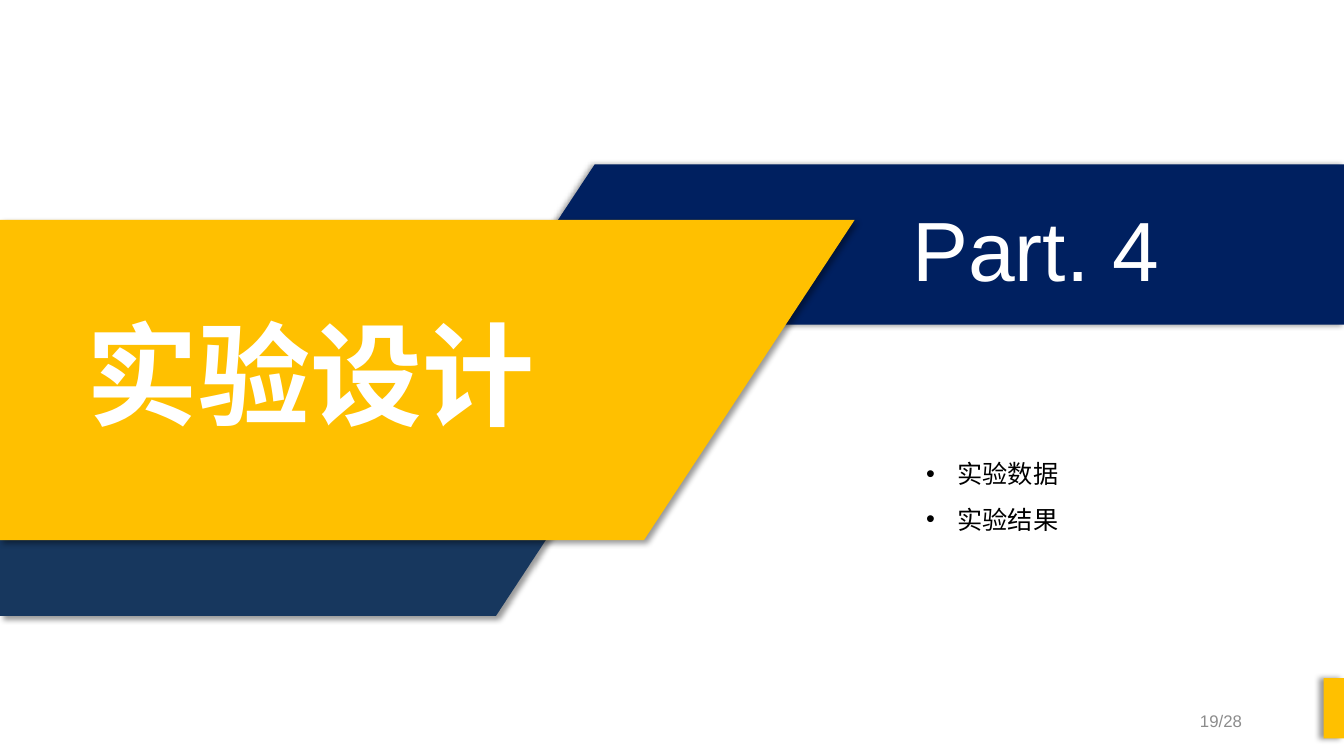
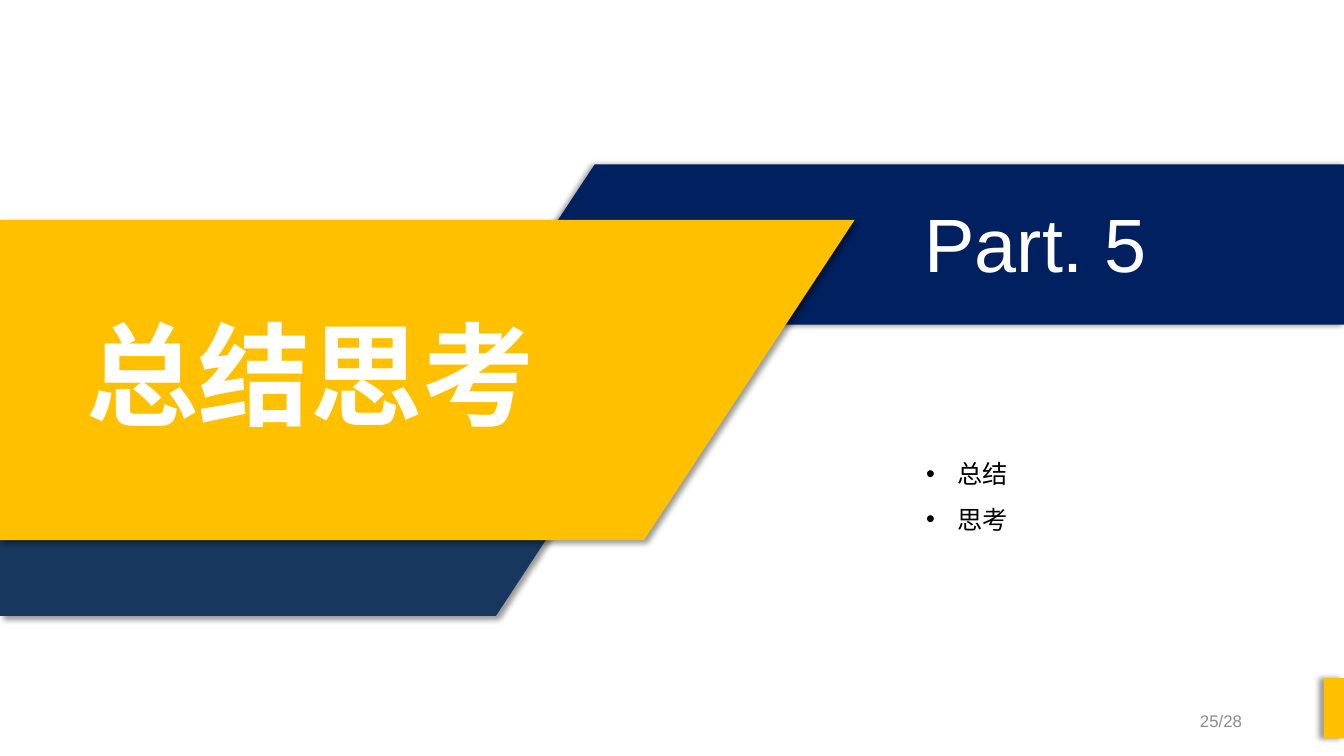
from lxml.etree import SubElement as Sub
from pptx import Presentation
from pptx.dml.color import RGBColor as RGB
from pptx.enum.shapes import MSO_SHAPE as Kind
from pptx.enum.text import MSO_ANCHOR as Anchor, MSO_AUTO_SIZE as Fit, PP_ALIGN as Align
from pptx.oxml.ns import qn
from pptx.util import Cm, Pt

WIDE, HIGH = 33.87, 19.05
HUES = {"gold": "FFC000", "navy": "002060", "slate": "17375E",
        "white": "FFFFFF", "black": "000000", "gray": "8C8C8C"}
LATIN, HEAD, HAN = "Arial", "League Spartan", "Noto Sans CJK SC"

# Bands from back to front: colour, shadow angle, corners in cm
BANDS = [
    ("slate", 45, [(0, 12.98), (14.17, 12.98), (12.5, 15.52), (0, 15.52)]),
    ("navy", 180, [(14.99, 4.14), (WIDE, 4.14), (WIDE, 8.18), (12.32, 8.18)]),
    ("gold", 45, [(0, 5.54), (21.54, 5.54), (16.23, 13.61), (0, 13.61)]),
]

# Part label, its size, title, points, width of the list, page
PARTS = [
    ("Part. 4", 60, "实验设计", ["实验数据", "实验结果"], 5.26, "19/28"),
    ("Part. 5", 54, "总结思考", ["总结", "思考"], 7.59, "25/28"),
]


def paint(shape, hue, angle):
    """Give a shape a plain fill and a soft shadow."""
    shape.fill.solid()
    shape.fill.fore_color.rgb = RGB.from_string(HUES[hue])
    shape.line.fill.background()
    shape.shadow.inherit = False
    effect = shape._element.spPr.find(qn("a:effectLst"))
    shade = Sub(effect, qn("a:outerShdw"), blurRad=str(Pt(4)), dist=str(Pt(3)),
                dir=str(angle * 60000), algn="ctr", rotWithShape="0")
    color = Sub(shade, qn("a:srgbClr"), val=HUES["black"])
    Sub(color, qn("a:alpha"), val="40000")


def band(slide, hue, angle, spots):
    first, *rest = [(Cm(x), Cm(y)) for x, y in spots]
    form = slide.shapes.build_freeform(*first)
    form.add_line_segments(rest, close=True)
    paint(form.convert_to_shape(), hue, angle)


def bullet(para):
    para.line_spacing = 1.5
    props = para._p.get_or_add_pPr()
    props.set("marL", str(Cm(0.79)))
    props.set("indent", str(-Cm(0.79)))
    Sub(props, qn("a:buFont"), typeface=LATIN)
    Sub(props, qn("a:buChar"), char="•")


def text(slide, box, lines, size, font, hue, bold=False, align=Align.LEFT,
         wrap=True, grow=True, anchor=Anchor.TOP, dots=False):
    """Add a text box with one paragraph for each line."""
    frame = slide.shapes.add_textbox(*map(Cm, box)).text_frame
    frame.word_wrap = wrap
    frame.auto_size = Fit.SHAPE_TO_FIT_TEXT if grow else Fit.NONE
    frame.vertical_anchor = anchor
    for i, line in enumerate(lines):
        para = frame.add_paragraph() if i else frame.paragraphs[0]
        para.alignment = align
        if dots:
            bullet(para)
        run = para.add_run()
        run.text = line
        run.font.size, run.font.bold, run.font.name = Pt(size), bold, font
        run.font.color.rgb = RGB.from_string(HUES[hue])
        Sub(run._r.get_or_add_rPr(), qn("a:ea"), typeface=HAN)


def footer(slide, page):
    tab = slide.shapes.add_shape(Kind.RECTANGLE, Cm(WIDE - 0.51), Cm(17.09),
                                 Cm(0.51), Cm(1.52))
    paint(tab, "gold", 180)
    text(slide, (23.93, 17.65, 7.62, 1.02), [page], 12, LATIN, "gray",
         align=Align.RIGHT, grow=False, anchor=Anchor.MIDDLE)


def divider(deck, label, size, title, points, width, page):
    slide = deck.slides.add_slide(deck.slide_layouts[6])
    for item in BANDS:
        band(slide, *item)
    text(slide, (22.61, 4.85, 6.99, size * 0.047), [label], size, LATIN,
         "white", align=Align.CENTER)
    text(slide, (1.93, 7.57, 11.91, 3.68), [title], 80, HEAD, "white",
         bold=True, wrap=False)
    text(slide, (23.09, 11.05, width, 2.5), points, 18, HAN, "black", dots=True)
    footer(slide, page)


def main():
    deck = Presentation()
    deck.slide_width, deck.slide_height = Cm(WIDE), Cm(HIGH)
    for part in PARTS:
        divider(deck, *part)
    deck.save("out.pptx")


if __name__ == "__main__":
    main()
